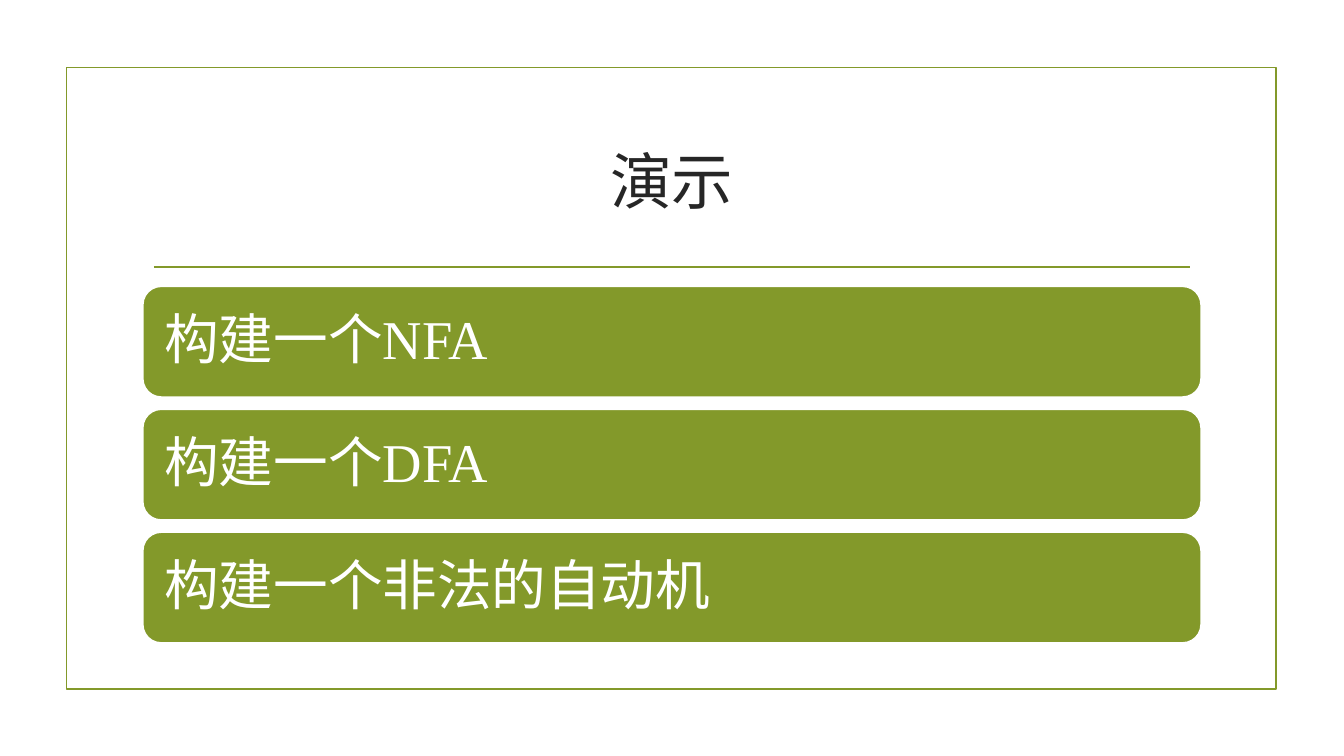
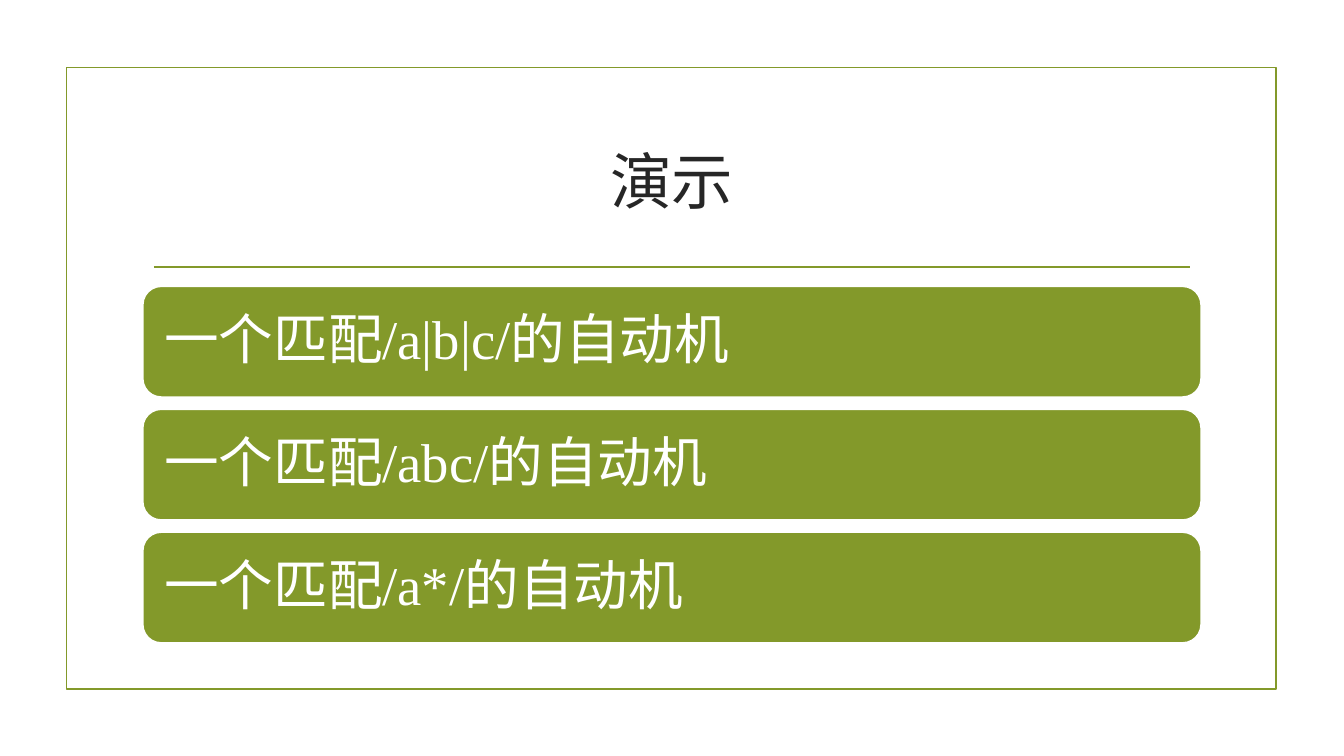
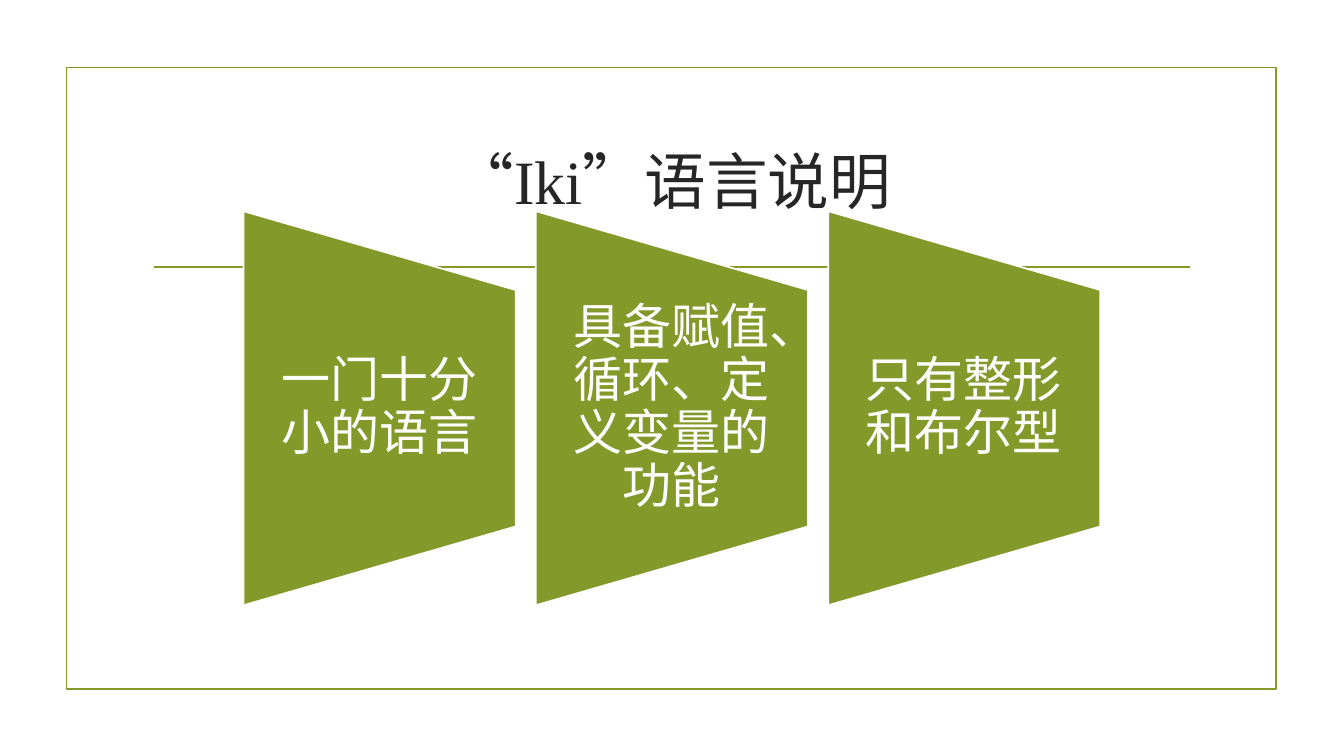
from dataclasses import dataclass
from typing import Any

from lxml.etree import SubElement
from pptx import Presentation
from pptx.dml.color import RGBColor
from pptx.enum.lang import MSO_LANGUAGE_ID as Lang
from pptx.enum.shapes import MSO_CONNECTOR as Link, MSO_SHAPE as Kind
from pptx.enum.text import MSO_ANCHOR as Anchor, PP_ALIGN as Align
from pptx.oxml.ns import qn
from pptx.util import Pt

GREEN = RGBColor(0x83, 0x99, 0x2A)
WHITE = RGBColor(0xFF, 0xFF, 0xFF)
DARK = RGBColor(0x26, 0x26, 0x26)
STROKE = Pt(1.25)

WIDE, HIGH = 960, 540
LEFT, SPAN = 102, 756
BAR_TOP, BAR_HIGH, BAR_STEP = 204.5, 79.2, 87.8
FAN_MID, FAN_STEP = 291.6, 208.8
FAN_LONG, FAN_WIDE, FAN_TEXT = 281.5, 194.4, 169.2


@dataclass(frozen=True)
class Style:
    size: float
    color: RGBColor
    align: Align
    leading: float = 1.0
    pads: tuple[float, float, float, float] = (7.2, 3.6, 7.2, 3.6)


@dataclass(frozen=True)
class Page:
    title: str
    items: tuple[str, ...]
    fan: bool = False


TITLE = Style(44, DARK, Align.CENTER)
BAR = Style(39, WHITE, Align.LEFT, 0.9, (11.5, 11.5, 11.5, 11.5))
FAN = Style(35, WHITE, Align.CENTER, 0.9, (17.3, 0, 18, 0))

PAGES = (
    Page("演示", ("构建一个NFA", "构建一个DFA", "构建一个非法的自动机")),
    Page("演示", ("一个匹配/a|b|c/的自动机", "一个匹配/abc/的自动机", "一个匹配/a*/的自动机")),
    Page("“Iki”语言说明",
         ("一门十分小的语言", "具备赋值、循环、定义变量的功能", "只有整形和布尔型"), fan=True),
)


def apply(target: Any, values: dict[str, Any]) -> None:
    """Set each named attribute on the target."""
    for name, value in values.items():
        setattr(target, name, value)


def write(shape: Any, text: str, style: Style) -> None:
    frame = shape.text_frame
    sides = ("margin_left", "margin_top", "margin_right", "margin_bottom")
    pads = {side: Pt(pad) for side, pad in zip(sides, style.pads)}
    apply(frame, {"word_wrap": True, "vertical_anchor": Anchor.MIDDLE, **pads})
    para = frame.paragraphs[0]
    apply(para, {"alignment": style.align, "line_spacing": style.leading})
    para._p.get_or_add_pPr().set("hangingPunct", "1")
    run = para.add_run()
    run.text = text
    apply(run.font, {"name": "Times New Roman", "size": Pt(style.size),
                     "language_id": Lang.SIMPLIFIED_CHINESE})
    run.font.color.rgb = style.color


def label(slide: Any, box: tuple[float, ...], text: str, style: Style) -> None:
    """Add a text box."""
    write(slide.shapes.add_textbox(*map(Pt, box)), text, style)


def block(slide: Any, kind: Kind, box: tuple[float, ...],
          fill: RGBColor | None, edge: RGBColor) -> Any:
    """Add a flat preset shape; no fill colour leaves it hollow."""
    shape = slide.shapes.add_shape(kind, *map(Pt, box))
    shape.shadow.inherit = False
    if fill is None:
        shape.fill.background()
    else:
        shape.fill.solid()
        shape.fill.fore_color.rgb = fill
    shape.line.color.rgb = edge
    shape.line.width = STROKE
    return shape


def base(slide: Any, title: str) -> None:
    """Draw the border, rule and title that every slide has."""
    block(slide, Kind.RECTANGLE, (47.5, 48.2, 864, 444.2), None, GREEN)
    rule = slide.shapes.add_connector(Link.STRAIGHT, *map(Pt, (110, 190.8, 850.3, 190.8)))
    rule.line.color.rgb = GREEN
    rule.line.width = STROKE
    SubElement(rule._element.spPr, qn("a:effectLst"))
    label(slide, (LEFT, 77, SPAN, 103), title, TITLE)


def bars(slide: Any, items: tuple[str, ...]) -> None:
    for row, text in enumerate(items):
        box = (LEFT, BAR_TOP + row * BAR_STEP, SPAN, BAR_HIGH)
        write(block(slide, Kind.ROUNDED_RECTANGLE, box, GREEN, WHITE), text, BAR)


def fans(slide: Any, items: tuple[str, ...]) -> None:
    """Draw a row of trapezoids turned on their side, with upright text."""
    for col, text in enumerate(items):
        mid = WIDE / 2 + (col - (len(items) - 1) / 2) * FAN_STEP
        box = (mid - FAN_LONG / 2, FAN_MID - FAN_WIDE / 2, FAN_LONG, FAN_WIDE)
        block(slide, Kind.FLOWCHART_MANUAL_OPERATION, box, GREEN, WHITE).rotation = 270
        label(slide, (mid - FAN_WIDE / 2, FAN_MID - FAN_TEXT / 2, FAN_WIDE, FAN_TEXT), text, FAN)


def main() -> None:
    deck = Presentation()
    apply(deck, {"slide_width": Pt(WIDE), "slide_height": Pt(HIGH)})
    for page in PAGES:
        slide = deck.slides.add_slide(deck.slide_layouts[6])
        base(slide, page.title)
        draw = fans if page.fan else bars
        draw(slide, page.items)
    deck.save("out.pptx")


if __name__ == "__main__":
    main()
